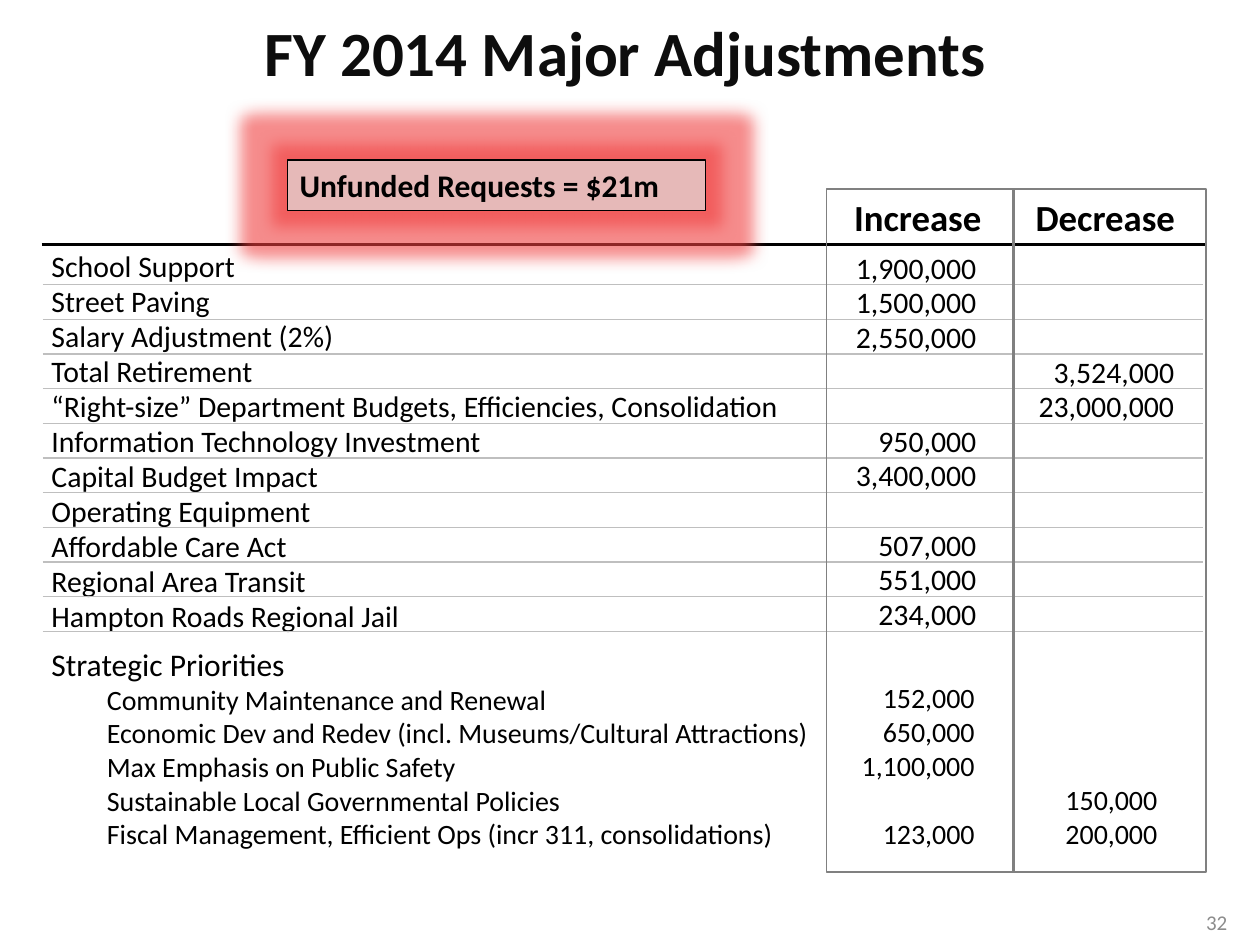
from lxml.etree import SubElement
from pptx import Presentation
from pptx.dml.color import RGBColor
from pptx.enum.shapes import MSO_CONNECTOR, MSO_SHAPE
from pptx.enum.text import MSO_ANCHOR, PP_ALIGN
from pptx.oxml.ns import qn
from pptx.util import Inches, Pt

TITLE = "FY 2014 Major Adjustments"
CALLOUT = "Unfunded Requests = $21m"
PAGE_NUMBER = "32"
# (label, increase, decrease)
ADJUSTMENTS = [
    ("School Support", "1,900,000", ""),
    ("Street Paving", "1,500,000", ""),
    ("Salary Adjustment (2%)", "2,550,000", ""),
    ("Total Retirement", "", "3,524,000"),
    ("“Right-size” Department Budgets, Efficiencies, Consolidation", "", "23,000,000"),
    ("Information Technology Investment", "950,000", ""),
    ("Capital Budget Impact", "3,400,000", ""),
    ("Operating Equipment", "", ""),
    ("Affordable Care Act", "507,000", ""),
    ("Regional Area Transit", "551,000", ""),
    ("Hampton Roads Regional Jail", "234,000", ""),
]
PRIORITIES_HEADING = "Strategic Priorities"
PRIORITIES = [
    ("Community Maintenance and Renewal", "152,000", ""),
    ("Economic Dev and Redev (incl. Museums/Cultural Attractions)", "650,000", ""),
    ("Max Emphasis on Public Safety", "1,100,000", ""),
    ("Sustainable Local Governmental Policies", "", "150,000"),
    ("Fiscal Management, Efficient Ops (incr 311, consolidations)", "123,000", "200,000"),
]
# (heading, heading left, heading width, column left, column width)
COLUMNS = [("Increase", 6.68, 1.22, 6.56, 1.49), ("Decrease", 8.12, 1.32, 8.04, 1.53)]
COLUMN_TOP, COLUMN_HEIGHT = 1.5, 5.42
# (rows, first top, row pitch, text size, right edge of each column's amounts)
AMOUNT_BLOCKS = [
    (ADJUSTMENTS, 1.93, 0.275, 17, (7.86, 9.43)),
    (PRIORITIES, 5.35, 0.27, 16, (7.85, 9.3)),
]
RULE_TOP, RULE_PITCH = 2.26, 0.275

prs = Presentation()
prs.slide_width, prs.slide_height = Inches(10), Inches(7.5)
slide = prs.slides.add_slide(prs.slide_layouts[6])


def color(hex_value):
    return RGBColor.from_string(hex_value)


def style(paragraph, size, hex_value="000000", bold=False):
    for run in paragraph.runs:
        run.font.name, run.font.size, run.font.bold = "Calibri", Pt(size), bold
        run.font.color.rgb = color(hex_value)


def add_text(lines, left, top, width, height, size, hex_value="000000", bold=False, wrap=False):
    box = slide.shapes.add_textbox(*map(Inches, (left, top, width, height)))
    box.text_frame.word_wrap = wrap
    box.text_frame.text = "\n".join(lines)
    for paragraph in box.text_frame.paragraphs:
        style(paragraph, size, hex_value, bold)
    return box.text_frame


def add_rule(left, right, y, hex_value, weight):
    rule = slide.shapes.add_connector(
        MSO_CONNECTOR.STRAIGHT, Inches(left), Inches(y), Inches(right), Inches(y))
    rule.line.color.rgb, rule.line.width = color(hex_value), Pt(weight)
    SubElement(rule._element.spPr, qn("a:effectLst"))


def add_rect(left, top, width, height, line, weight, fill=None):
    rect = slide.shapes.add_shape(
        MSO_SHAPE.RECTANGLE, *map(Inches, (left, top, width, height)))
    rect.shadow.inherit = False
    rect.line.color.rgb, rect.line.width = color(line), Pt(weight)
    if fill:
        rect.fill.solid()
        rect.fill.fore_color.rgb = color(fill)
    else:
        rect.fill.background()
    return rect


def amount_width(amount, size):
    commas = amount.count(",")
    return 0.21 + size / 72 * (0.507 * (len(amount) - commas) + 0.25 * commas)


# Title and row labels
add_text([TITLE], 2, 0.06, 5.99, 0.71, 36, "0D0D0D", True)
labels = add_text([row[0] for row in ADJUSTMENTS], 0.31, 1.92, 6.14, 3.19, 17, wrap=True)
for paragraph in labels.paragraphs:
    paragraph.line_spacing = Pt(20)

# Column headings and rules
for heading, left, width, _, _ in COLUMNS:
    add_text([heading], left, COLUMN_TOP, width, 0.45, 21, bold=True)
add_rule(0.33, 9.58, 1.94, "000000", 2)
for row in range(len(ADJUSTMENTS)):
    add_rule(0.34, 9.55, RULE_TOP + row * RULE_PITCH, "BFBFBF", 0.75)

# Strategic priorities
priorities = add_text([PRIORITIES_HEADING] + [row[0] for row in PRIORITIES],
                      0.31, 5.02, 6.25, 1.8, 16, wrap=True)
heading, *items = priorities.paragraphs
heading.line_spacing = Pt(25)
style(heading, 18)
for item in items:
    properties = item._p.get_or_add_pPr()
    properties.set("marL", str(Inches(0.44)))
    properties.set("indent", "0")

# Amounts, lined up on the right edge of each column
for rows, first_top, pitch, size, right_edges in AMOUNT_BLOCKS:
    for index, (_, *amounts) in enumerate(rows):
        for amount, right in zip(amounts, right_edges):
            if amount:
                width = amount_width(amount, size)
                add_text([amount], right - width, first_top + index * pitch,
                         width, 0.1 + size / 60, size)

# Column frames
for _, _, _, left, width in reversed(COLUMNS):
    add_rect(left, COLUMN_TOP, width, COLUMN_HEIGHT, "808080", 1)

# Glowing callout
callout = add_rect(2.28, 1.27, 3.32, 0.4, "000000", 0.75, "E6B9B8")
effects = callout._element.spPr.find(qn("a:effectLst"))
glow = SubElement(effects, qn("a:glow"), rad=str(Inches(0.25)))
glow_color = SubElement(glow, qn("a:srgbClr"), val="F04040")
SubElement(glow_color, qn("a:alpha"), val="60000")
callout.text_frame.text = CALLOUT
callout.text_frame.vertical_anchor = MSO_ANCHOR.TOP
callout.text_frame.paragraphs[0].alignment = PP_ALIGN.LEFT
style(callout.text_frame.paragraphs[0], 18, bold=True)

# Page number
page = add_text([PAGE_NUMBER], 7.51, 7.12, 2.33, 0.4, 12, "8C8C8C", wrap=True)
page.vertical_anchor = MSO_ANCHOR.MIDDLE
page.paragraphs[0].alignment = PP_ALIGN.RIGHT

prs.save("out.pptx")
